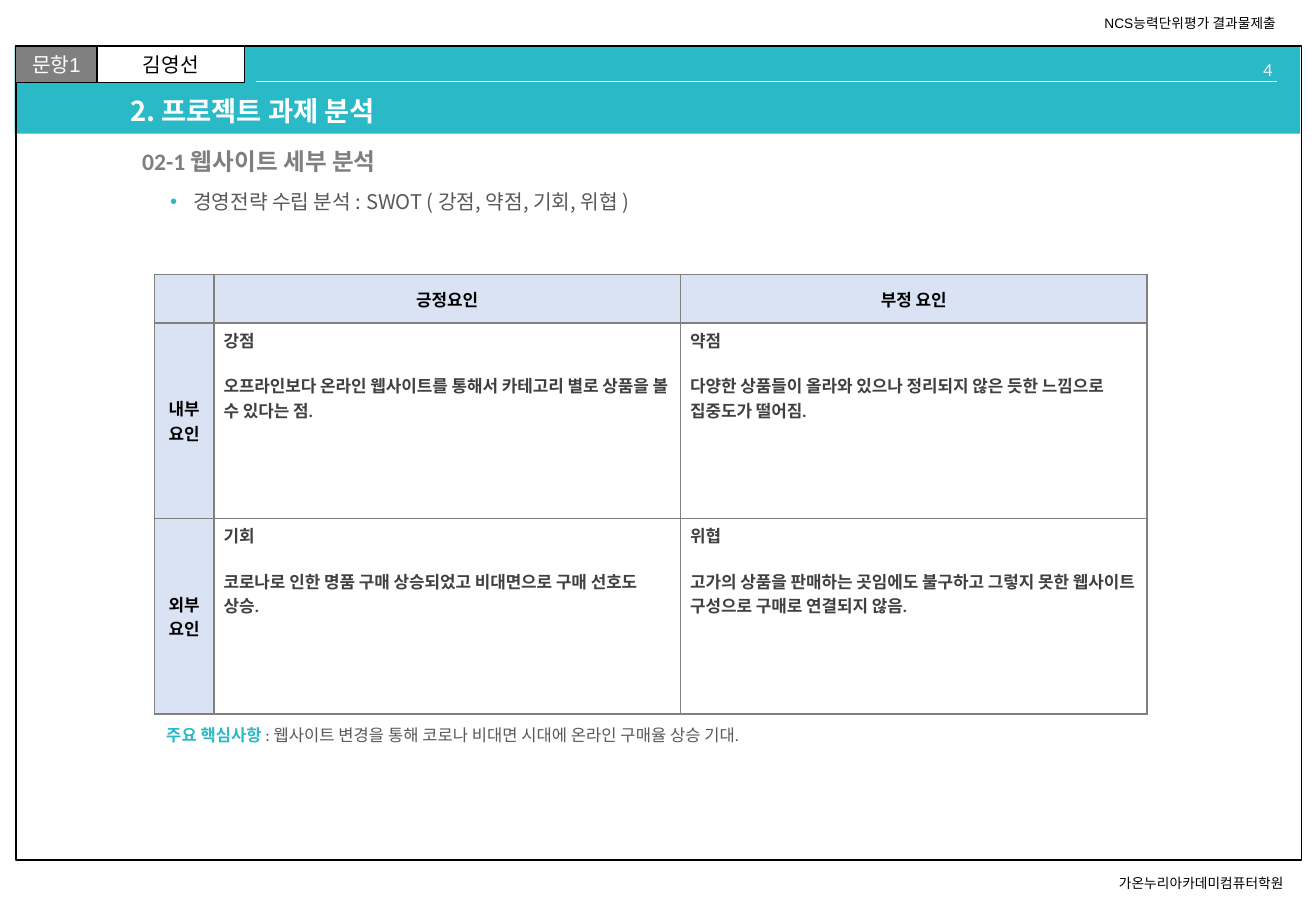
from dataclasses import dataclass
from typing import NamedTuple, Optional

from lxml import etree
from pptx import Presentation
from pptx.dml.color import RGBColor
from pptx.enum.shapes import MSO_CONNECTOR, MSO_SHAPE
from pptx.enum.text import MSO_ANCHOR, MSO_AUTO_SIZE, PP_ALIGN
from pptx.oxml.ns import qn
from pptx.util import Emu, Pt

PX = 9144  # 100 px to the inch
LEFT, CENTER, RIGHT = PP_ALIGN.LEFT, PP_ALIGN.CENTER, PP_ALIGN.RIGHT
TOP, MIDDLE = MSO_ANCHOR.TOP, MSO_ANCHOR.MIDDLE
NO_AUTOFIT = MSO_AUTO_SIZE.NONE
RECTANGLE, STRAIGHT = MSO_SHAPE.RECTANGLE, MSO_CONNECTOR.STRAIGHT

TEAL = RGBColor(0x2A, 0xB9, 0xC7)
WHITE = RGBColor(0xFF, 0xFF, 0xFF)
BLACK = RGBColor(0, 0, 0)
GRAY = RGBColor(0x80, 0x80, 0x80)
HEADING_GRAY = RGBColor(0x7F, 0x7F, 0x7F)
BODY_GRAY = RGBColor(0x59, 0x59, 0x59)
CELL_GRAY = RGBColor(0x40, 0x40, 0x40)
PALE_GRAY = RGBColor(0xF2, 0xF2, 0xF2)
PALE_BLUE = RGBColor(0xDA, 0xE3, 0xF3)

ARIAL, CALIBRI, NOTO = "Arial", "Calibri", "Noto Sans CJK KR"


class Box(NamedTuple):
    left: int
    top: int
    width: int
    height: int


class Style(NamedTuple):
    size: float
    font: str
    color: RGBColor
    bold: bool = False


@dataclass
class Panel:
    box: Box
    fill: Optional[RGBColor] = None
    line_width: float = 0
    text: str = ""
    style: Style = Style(12, ARIAL, BLACK)


@dataclass
class Label:
    box: Box
    text: str
    style: Style
    align: PP_ALIGN = LEFT


@dataclass
class Heading:
    idx: int
    box: Box
    text: str
    style: Style
    anchor: MSO_ANCHOR = MIDDLE
    line_spacing: float = 0.9
    space_before: float = 0


PANELS = [
    Panel(Box(12, 38, 1058, 72), TEAL),
    Panel(Box(13, 38, 1058, 670), None, 1),
    Panel(Box(13, 38, 67, 30), GRAY, 0.75, "문항1", Style(12, ARIAL, WHITE)),
    Panel(Box(80, 38, 121, 30), WHITE, 0.75, "김영선"),
]
SMALL = Style(8.1, ARIAL, BLACK)
LABELS = [
    Label(Box(911, 715, 168, 24), "가온누리아카데미컴퓨터학원", SMALL),
    Label(Box(899, 7, 172, 24), "NCS능력단위평가 결과물제출", SMALL),
    Label(Box(939, 43, 118, 20), "4", Style(11, CALIBRI, PALE_GRAY), RIGHT),
]
HEADINGS = [
    Heading(0, Box(97, 76, 876, 34), "2. 프로젝트 과제 분석", Style(16.2, NOTO, WHITE, True)),
    Heading(2, Box(107, 117, 866, 34), "02-1 웹사이트 세부 분석",
            Style(14, CALIBRI, HEADING_GRAY, True)),
    Heading(1, Box(130, 151, 843, 34), "경영전략 수립 분석 : SWOT ( 강점, 약점, 기회, 위협 )",
            Style(12, NOTO, BODY_GRAY), TOP, 1.0, 3),
]
SWOT_BOX = Box(127, 226, 817, 362)
SWOT_COLUMNS = [49, 384, 384]
SWOT_ROWS = [40, 161, 161]
SWOT = [
    ["", "긍정요인", "부정 요인"],
    ["내부요인",
     "강점\n오프라인보다 온라인 웹사이트를 통해서 카테고리 별로 상품을 볼 수 있다는 점.",
     "약점\n다양한 상품들이 올라와 있으나 정리되지 않은 듯한 느낌으로 집중도가 떨어짐."],
    ["외부요인",
     "기회\n코로나로 인한 명품 구매 상승되었고 비대면으로 구매 선호도 상승.",
     "위협\n고가의 상품을 판매하는 곳임에도 불구하고 그렇지 못한 웹사이트 구성으로 구매로 연결되지 않음."],
]
NOTE_BOX = Box(127, 592, 817, 27)
NOTE_RUNS = [
    ("주요 핵심사항 ", Style(9.8, CALIBRI, TEAL, True)),
    (": 웹사이트 변경을 통해 코로나 비대면 시대에 온라인 구매율 상승 기대.",
     Style(9.8, CALIBRI, BODY_GRAY)),
]


def emu(box: Box) -> list[Emu]:
    return [Emu(v * PX) for v in box]


def style_run(r, style: Style) -> None:
    r.font.size = Pt(style.size)
    r.font.bold = style.bold
    r.font.color.rgb = style.color
    r.font.name = style.font
    etree.SubElement(r.font._element, qn("a:ea"), typeface=NOTO)


def style_text(tf, style: Style, align: PP_ALIGN = LEFT) -> None:
    for p in tf.paragraphs:
        p.alignment = align
        for r in p.runs:
            style_run(r, style)


def add_panel(s, panel: Panel) -> None:
    sp = s.shapes.add_shape(RECTANGLE, *emu(panel.box))
    sp.shadow.inherit = False
    if panel.fill is None:
        sp.fill.background()
    else:
        sp.fill.solid()
        sp.fill.fore_color.rgb = panel.fill
    if panel.line_width:
        sp.line.color.rgb = BLACK
        sp.line.width = Pt(panel.line_width)
    else:
        sp.line.fill.background()
    if panel.text:
        tf = sp.text_frame
        tf.margin_left = tf.margin_right = tf.margin_top = tf.margin_bottom = 0
        tf.vertical_anchor = MIDDLE
        tf.text = panel.text
        style_text(tf, panel.style, CENTER)


def add_label(s, label: Label) -> None:
    tf = s.shapes.add_textbox(*emu(label.box)).text_frame
    tf.word_wrap = True
    tf.text = label.text
    style_text(tf, label.style, label.align)


def fill_heading(s, heading: Heading) -> None:
    sp = s.placeholders[heading.idx]
    sp.left, sp.top, sp.width, sp.height = emu(heading.box)
    tf = sp.text_frame
    tf.auto_size = NO_AUTOFIT
    tf.vertical_anchor = heading.anchor
    tf.text = heading.text
    p = tf.paragraphs[0]
    p.line_spacing = heading.line_spacing
    p.space_before = Pt(heading.space_before)
    style_text(tf, heading.style)


def add_bullet(p) -> None:
    pPr = p._p.get_or_add_pPr()
    pPr.set("marL", str(19 * PX))
    pPr.set("indent", str(-19 * PX))
    color = etree.SubElement(pPr, qn("a:buClr"))
    etree.SubElement(color, qn("a:srgbClr"), val=str(TEAL))
    etree.SubElement(pPr, qn("a:buChar"), char="•")


def add_borders(cell) -> None:
    tcPr = cell._tc.get_or_add_tcPr()
    for i, side in enumerate("LRTB"):
        ln = etree.Element(qn(f"a:ln{side}"), w=str(Pt(1)))
        fill = etree.SubElement(ln, qn("a:solidFill"))
        etree.SubElement(fill, qn("a:srgbClr"), val=str(GRAY))
        tcPr.insert(i, ln)


def add_swot_table(s) -> None:
    table = s.shapes.add_table(len(SWOT_ROWS), len(SWOT_COLUMNS), *emu(SWOT_BOX)).table
    table.first_row = table.horz_banding = False
    for column, width in zip(table.columns, SWOT_COLUMNS):
        column.width = Emu(width * PX)
    for row, height in zip(table.rows, SWOT_ROWS):
        row.height = Emu(height * PX)
    for i, texts in enumerate(SWOT):
        for j, text in enumerate(texts):
            cell, is_header = table.cell(i, j), i == 0 or j == 0
            cell.margin_left = cell.margin_right = Emu(8 * PX)
            cell.margin_top = cell.margin_bottom = Emu(4 * PX)
            cell.vertical_anchor = MIDDLE if is_header else TOP
            if is_header:
                cell.fill.solid()
                cell.fill.fore_color.rgb = PALE_BLUE
            else:
                cell.fill.background()
            add_borders(cell)
            tf = cell.text_frame
            tf.text = text
            style_text(tf, Style(10, CALIBRI, BLACK if is_header else CELL_GRAY, True),
                       CENTER if is_header else LEFT)
            for p in tf.paragraphs[1:]:
                p.space_before = Pt(12.5)


def add_header_rule(s) -> None:
    line = s.shapes.add_connector(STRAIGHT, *emu(Box(211, 67, 1051, 67)))
    line.line.color.rgb = WHITE
    line.line.width = Pt(0.5)
    etree.SubElement(line._element.spPr, qn("a:effectLst"))


def add_note(s) -> None:
    tf = s.shapes.add_textbox(*emu(NOTE_BOX)).text_frame
    tf.word_wrap = True
    for text, style in NOTE_RUNS:
        r = tf.paragraphs[0].add_run()
        r.text = text
        style_run(r, style)


def main() -> None:
    prs = Presentation()
    prs.slide_width, prs.slide_height = Emu(1083 * PX), Emu(750 * PX)
    s = prs.slides.add_slide(prs.slide_layouts.get_by_name("Content with Caption"))
    headings = [s.placeholders[heading.idx]._element for heading in HEADINGS]
    for panel in PANELS:
        add_panel(s, panel)
    for label in LABELS:
        add_label(s, label)
    add_header_rule(s)
    for element in headings:  # bring the placeholders in front of the band
        s.shapes._spTree.append(element)
    for heading in HEADINGS:
        fill_heading(s, heading)
    add_bullet(s.placeholders[1].text_frame.paragraphs[0])
    add_swot_table(s)
    add_note(s)
    prs.save("out.pptx")


if __name__ == "__main__":
    main()
